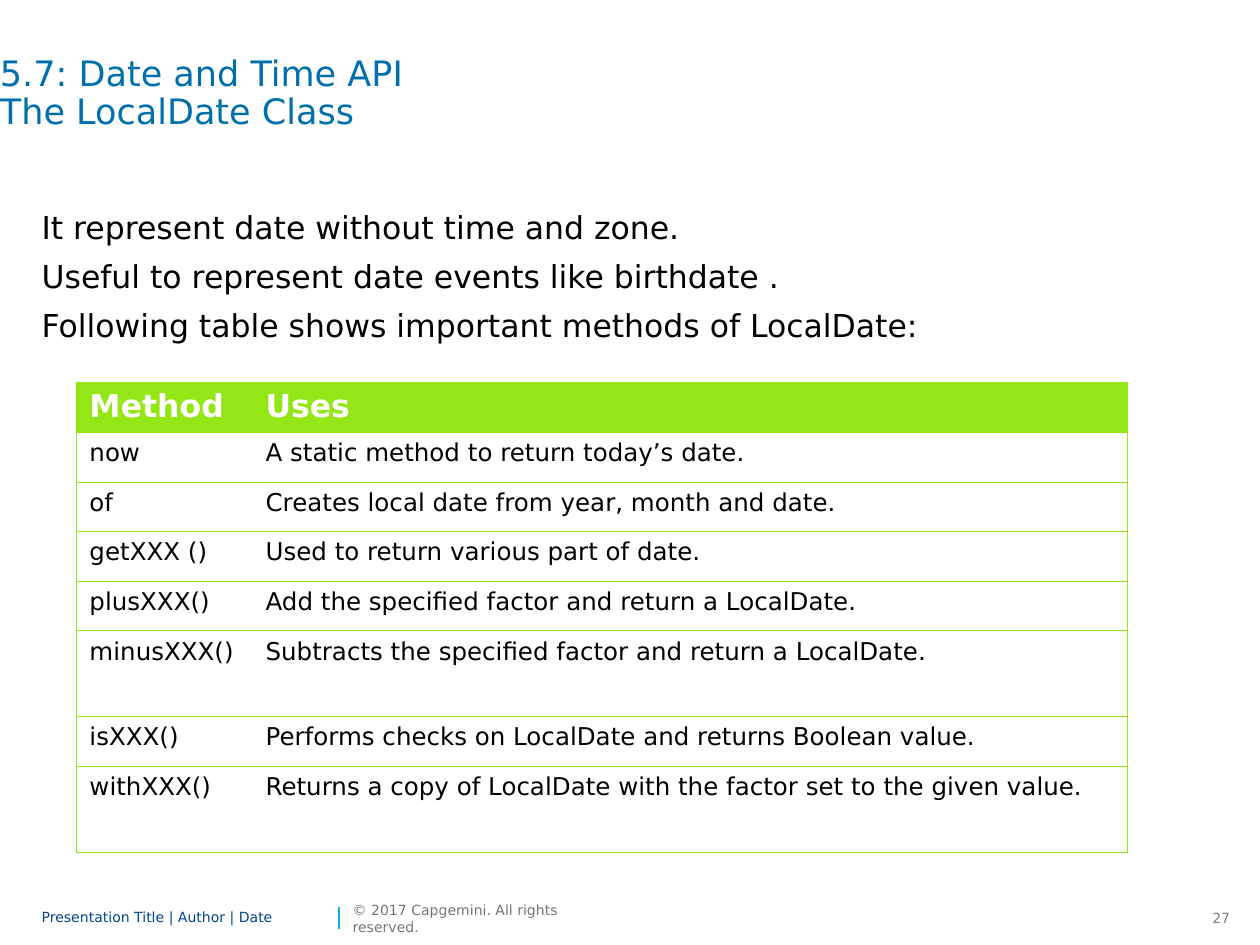
from lxml import etree
from pptx import Presentation
from pptx.dml.color import RGBColor
from pptx.enum import shapes, text
from pptx.oxml.ns import qn
from pptx.util import Cm, Pt

FONT = "DejaVu Sans"
BLACK = RGBColor(0x00, 0x00, 0x00)
WHITE = RGBColor(0xFF, 0xFF, 0xFF)
GREEN = RGBColor(0x95, 0xE6, 0x16)
TITLE_BLUE = RGBColor(0x00, 0x70, 0xAD)
FOOTER_BLUE = RGBColor(0x00, 0x45, 0x8D)
CYAN = RGBColor(0x12, 0xAB, 0xDB)
COPYRIGHT_GREY = RGBColor(0x76, 0x76, 0x76)
NUMBER_GREY = RGBColor(0x80, 0x80, 0x80)

METHODS = [
    ("Method", "Uses"),
    ("now", "A static method to return today’s date."),
    ("of", "Creates local date from year, month and date."),
    ("getXXX ()", "Used to return various part of date."),
    ("plusXXX()", "Add the specified factor and return a LocalDate."),
    ("minusXXX()", "Subtracts the specified factor and return a LocalDate."),
    ("isXXX()", "Performs checks on LocalDate and returns Boolean value."),
    ("withXXX()", "Returns a copy of LocalDate with the factor set to the given value."),
]
TALL_ROWS = ("minusXXX()", "withXXX()")


def add_text(box, lines, size, color, anchor=text.MSO_ANCHOR.TOP, inset=0, wrap=True,
             spacing=None, after=None, align=None):
    """Add a text box at box (left, top, width, height in cm), one paragraph per line."""
    tf = s.shapes.add_textbox(*map(Cm, box)).text_frame
    tf.word_wrap = wrap
    tf.vertical_anchor = anchor
    if inset is not None:
        tf.margin_left = tf.margin_top = tf.margin_right = tf.margin_bottom = inset
    tf.text = "\n".join(lines)
    for p in tf.paragraphs:
        p.font.name, p.font.size, p.font.color.rgb = FONT, Pt(size), color
        p.line_spacing, p.space_after, p.alignment = spacing, after, align


def set_borders(cell, sides):
    """Draw thin green borders on the given sides (L, R, T, B) and none on the others."""
    tc_pr = cell._tc.get_or_add_tcPr()
    for i, side in enumerate("LRTB"):
        ln = etree.Element(qn(f"a:ln{side}"), w=str(Pt(0.5)))
        if side in sides:
            fill = etree.SubElement(ln, qn("a:solidFill"))
            etree.SubElement(fill, qn("a:srgbClr"), val=str(GREEN))
        else:
            etree.SubElement(ln, qn("a:noFill"))
        tc_pr.insert(i, ln)


prs = Presentation()
prs.slide_width, prs.slide_height = Cm(25.4), Cm(19.05)
s = prs.slides.add_slide(prs.slide_layouts[6])

# Footer
add_text((24.05, 18.21, 1, 0.61), ["27"], 8, NUMBER_GREY, inset=None, wrap=False,
         align=text.PP_ALIGN.RIGHT)
divider = s.shapes.add_connector(shapes.MSO_CONNECTOR.STRAIGHT,
                                 Cm(6.83), Cm(18.72), Cm(6.83), Cm(18.29))
divider.line.color.rgb = CYAN
divider.line.width = Pt(1)
etree.SubElement(divider._element.spPr, qn("a:effectLst"))
add_text((0.84, 18.21, 5.89, 0.61), ["Presentation Title | Author | Date"], 8, FOOTER_BLUE,
         anchor=text.MSO_ANCHOR.MIDDLE, spacing=0.85)
add_text((7.11, 18.21, 4.62, 0.61), ["© 2017 Capgemini. All rights reserved."], 8,
         COPYRIGHT_GREY, anchor=text.MSO_ANCHOR.MIDDLE, wrap=False)

# Title and body
add_text((0, 1.14, 23.7, 2.39), ["5.7: Date and Time API\vThe LocalDate Class"], 20,
         TITLE_BLUE, spacing=0.9)
add_text((0.84, 4.17, 24.56, 12.9), [
    "It represent date without time and zone.",
    "Useful to represent date events like birthdate .",
    "Following table shows important methods of LocalDate:",
], 18, BLACK, spacing=Pt(22), after=Pt(6))

# Table of methods
table = s.shapes.add_table(len(METHODS), 2, Cm(1.55), Cm(7.7), Cm(21.18), Cm(9.46)).table
table.columns[0].width, table.columns[1].width = Cm(3.55), Cm(17.63)
for i, row in enumerate(METHODS):
    header = i == 0
    table.rows[i].height = Cm(1.73 if row[0] in TALL_ROWS else 1)
    for j, words in enumerate(row):
        cell = table.cell(i, j)
        cell.text = words
        if header:
            cell.fill.solid()
            cell.fill.fore_color.rgb = GREEN
        else:
            cell.fill.background()
        p = cell.text_frame.paragraphs[0]
        p.font.name, p.font.size = FONT, Pt(18 if header else 14)
        p.font.bold = header
        p.font.color.rgb = WHITE if header else BLACK
        set_borders(cell, "TB" + "LR"[j])

prs.save("out.pptx")
